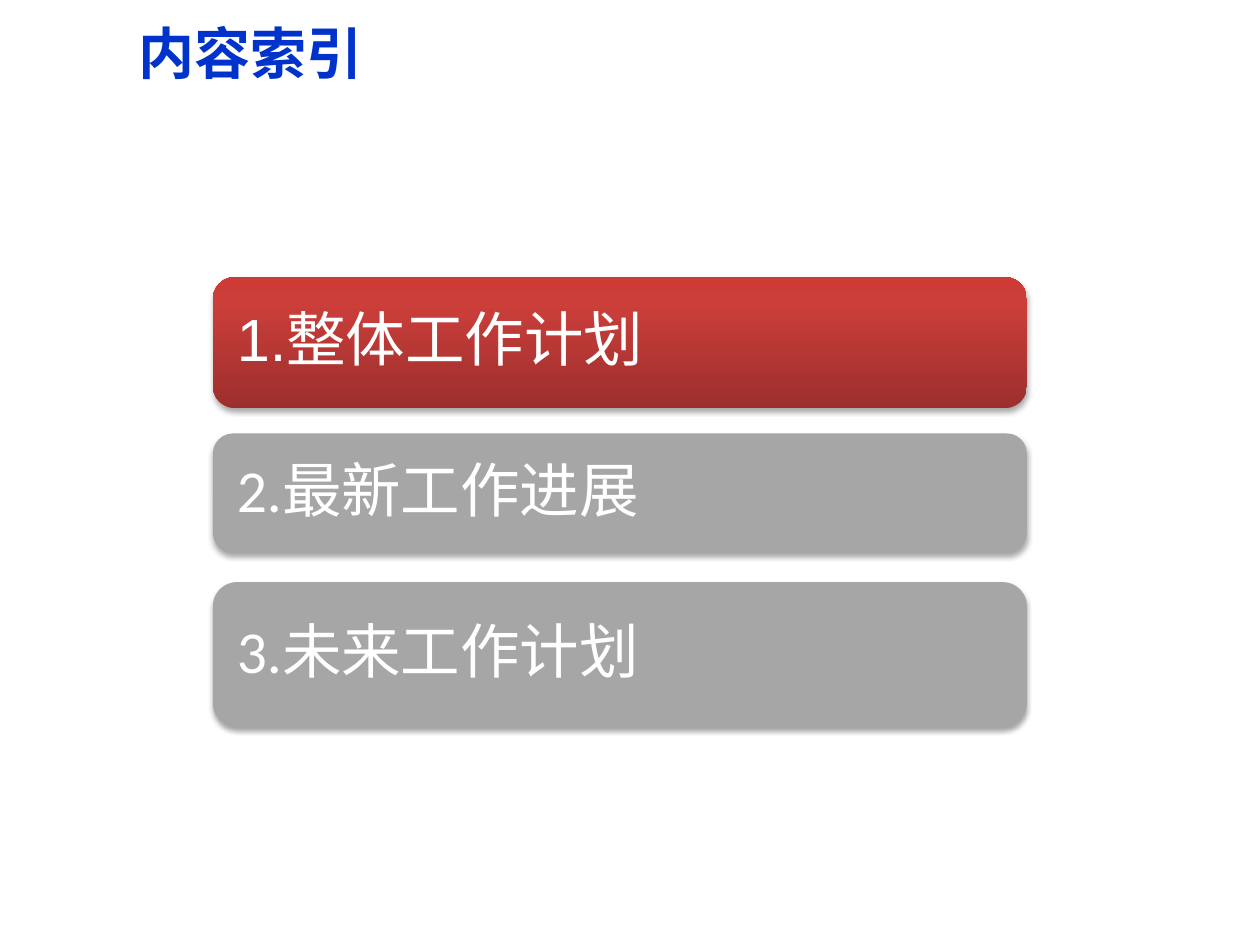
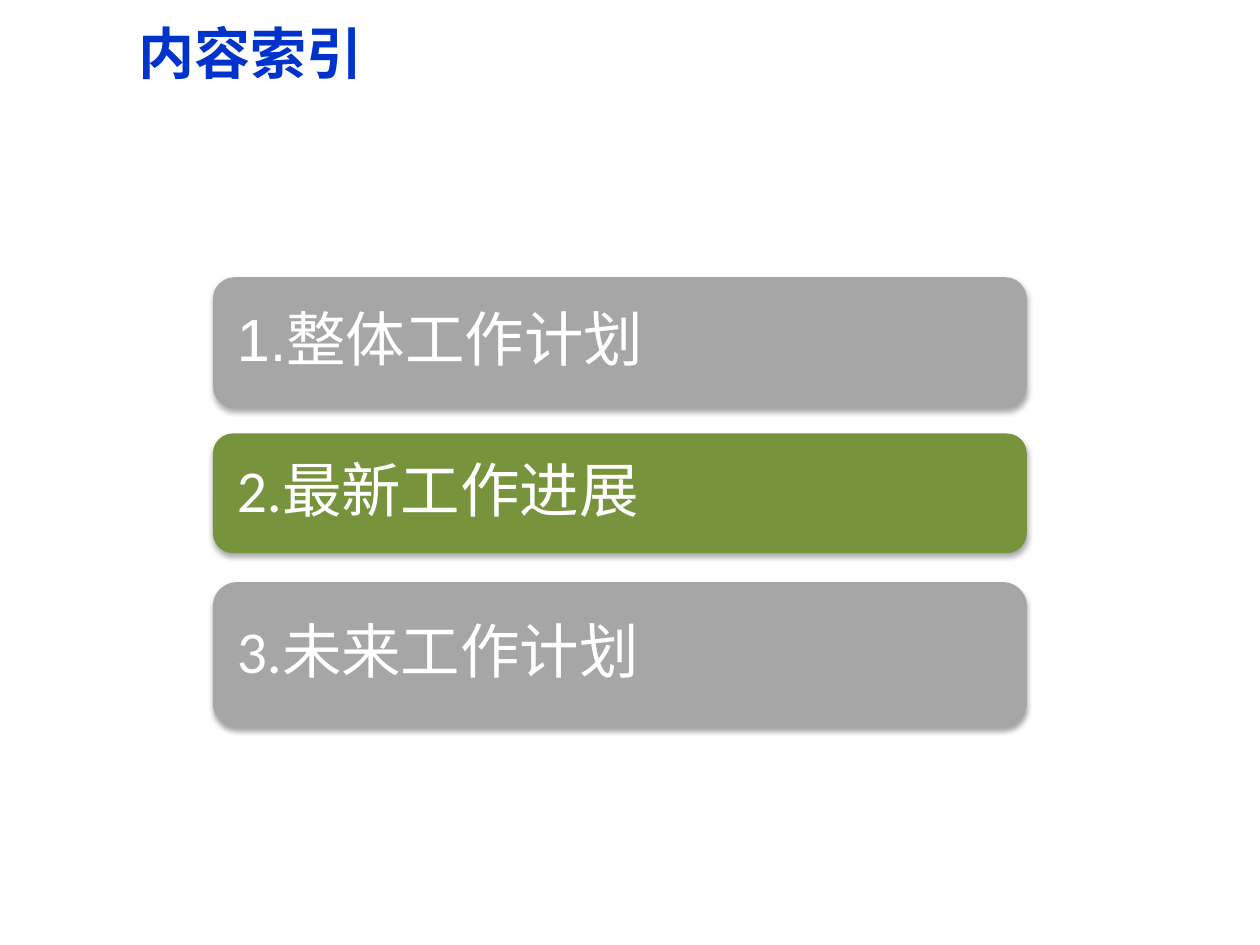
import pptx
import pptx.util
import pptx.dml.color
import pptx.enum.shapes
import pptx.enum.text
import pptx.oxml
import pptx.oxml.ns

Inches = pptx.util.Inches
RGBColor = pptx.dml.color.RGBColor

TITLE_BLUE = RGBColor(0x00, 0x33, 0xCC)
WHITE = RGBColor(0xFF, 0xFF, 0xFF)
GREY = RGBColor(0xA6, 0xA6, 0xA6)
GREEN = RGBColor(0x77, 0x93, 0x3C)
RED_DARK = RGBColor(0x9C, 0x2F, 0x2D)
RED_MIDDLE = RGBColor(0xCB, 0x3E, 0x3A)
RED_LIGHT = RGBColor(0xCE, 0x3B, 0x37)
RED_STOPS = ((0, RED_DARK), (80, RED_MIDDLE), (100, RED_LIGHT))

CHINESE_FONT = "Noto Sans CJK SC"
BAR_LEFT, BAR_WIDTH = 1.69, 6.46
LABEL_MARGIN = 0.05

# Top, height and text spans (wording, font) of each agenda bar
AGENDA = (
    (2.20, 1.04, (("1.整体工作计划", "Arial"),)),
    (3.44, 0.95, (("2.最新工作进展", "Calibri"),)),
    (4.62, 1.15, (("3.未来工作", "Calibri"), ("计划", CHINESE_FONT))),
)


def add_span(para, text, *, size, color, font=CHINESE_FONT, bold=False):
    """Add formatted text to a paragraph, with one font for Chinese text."""
    span = para.add_run()
    span.text = text
    span.font.size = pptx.util.Pt(size)
    span.font.bold = bold
    span.font.color.rgb = color
    span.font.name = font
    east_asian = pptx.oxml.parse_xml(
        f'<a:ea {pptx.oxml.ns.nsdecls("a")} typeface="{CHINESE_FONT}"/>')
    span.font._element.find(pptx.oxml.ns.qn("a:latin")).addnext(east_asian)


class AgendaDeck:
    def __init__(self):
        self.deck = pptx.Presentation()
        self.deck.slide_width = Inches(10)
        self.deck.slide_height = Inches(7.5)
        self.page = None

    def new_page(self):
        self.page = self.deck.slides.add_slide(self.deck.slide_layouts[6])

    def text_box(self, left, top, width, height, inset=None):
        """Add a middle-anchored text box and return its first paragraph."""
        box = self.page.shapes.add_textbox(
            Inches(left), Inches(top), Inches(width), Inches(height))
        frame = box.text_frame
        frame.word_wrap = True
        frame.vertical_anchor = pptx.enum.text.MSO_ANCHOR.MIDDLE
        if inset is not None:
            frame.margin_left = frame.margin_right = Inches(inset)
            frame.margin_top = frame.margin_bottom = Inches(inset)
        return frame.paragraphs[0]

    def title(self, text):
        para = self.text_box(1, -0.02, 9, 0.87)
        add_span(para, text, size=32, color=TITLE_BLUE, bold=True)

    def bar(self, top, height, fill):
        """Add a rounded bar; fill is a colour or a series of gradient stops."""
        bar = self.page.shapes.add_shape(
            pptx.enum.shapes.MSO_SHAPE.ROUNDED_RECTANGLE,
            Inches(BAR_LEFT), Inches(top), Inches(BAR_WIDTH), Inches(height))
        bar.line.fill.background()
        if isinstance(fill, RGBColor):
            bar.fill.solid()
            bar.fill.fore_color.rgb = fill
        else:
            self.gradient(bar, fill)
        self.soft_shadow(bar)

    def gradient(self, shape, stops):
        """Fill a shape from bottom to top."""
        stop_xml = "".join(
            f'<a:gs pos="{place * 1000}"><a:srgbClr val="{color}"/></a:gs>'
            for place, color in stops)
        gradient = pptx.oxml.parse_xml(
            f'<a:gradFill {pptx.oxml.ns.nsdecls("a")} rotWithShape="1">'
            f'<a:gsLst>{stop_xml}</a:gsLst>'
            '<a:lin ang="16200000" scaled="0"/></a:gradFill>')
        properties = shape._element.spPr
        properties.find(pptx.oxml.ns.qn("a:prstGeom")).addnext(gradient)

    def soft_shadow(self, shape):
        shape.shadow.inherit = False
        effects = shape._element.spPr.find(pptx.oxml.ns.qn("a:effectLst"))
        effects.append(pptx.oxml.parse_xml(
            f'<a:outerShdw {pptx.oxml.ns.nsdecls("a")} blurRad="40000" '
            'dist="23000" dir="5400000" rotWithShape="0">'
            '<a:srgbClr val="000000"><a:alpha val="35000"/></a:srgbClr>'
            '</a:outerShdw>'))

    def bar_label(self, top, height, spans):
        para = self.text_box(
            BAR_LEFT + LABEL_MARGIN, top + LABEL_MARGIN,
            BAR_WIDTH - 2 * LABEL_MARGIN, height - 2 * LABEL_MARGIN, inset=0.14)
        para.line_spacing = 0.9
        for text, font in spans:
            add_span(para, text, size=34, color=WHITE, font=font)

    def agenda_page(self, active, highlight):
        """Add the agenda with one bar highlighted."""
        self.new_page()
        self.title("内容索引")
        for index, (top, height, spans) in enumerate(AGENDA):
            self.bar(top, height, highlight if index == active else GREY)
            self.bar_label(top, height, spans)


def main():
    agenda = AgendaDeck()
    # Overall plan
    agenda.agenda_page(active=0, highlight=RED_STOPS)
    # Latest progress
    agenda.agenda_page(active=1, highlight=GREEN)
    agenda.deck.save("out.pptx")


if __name__ == "__main__":
    main()
